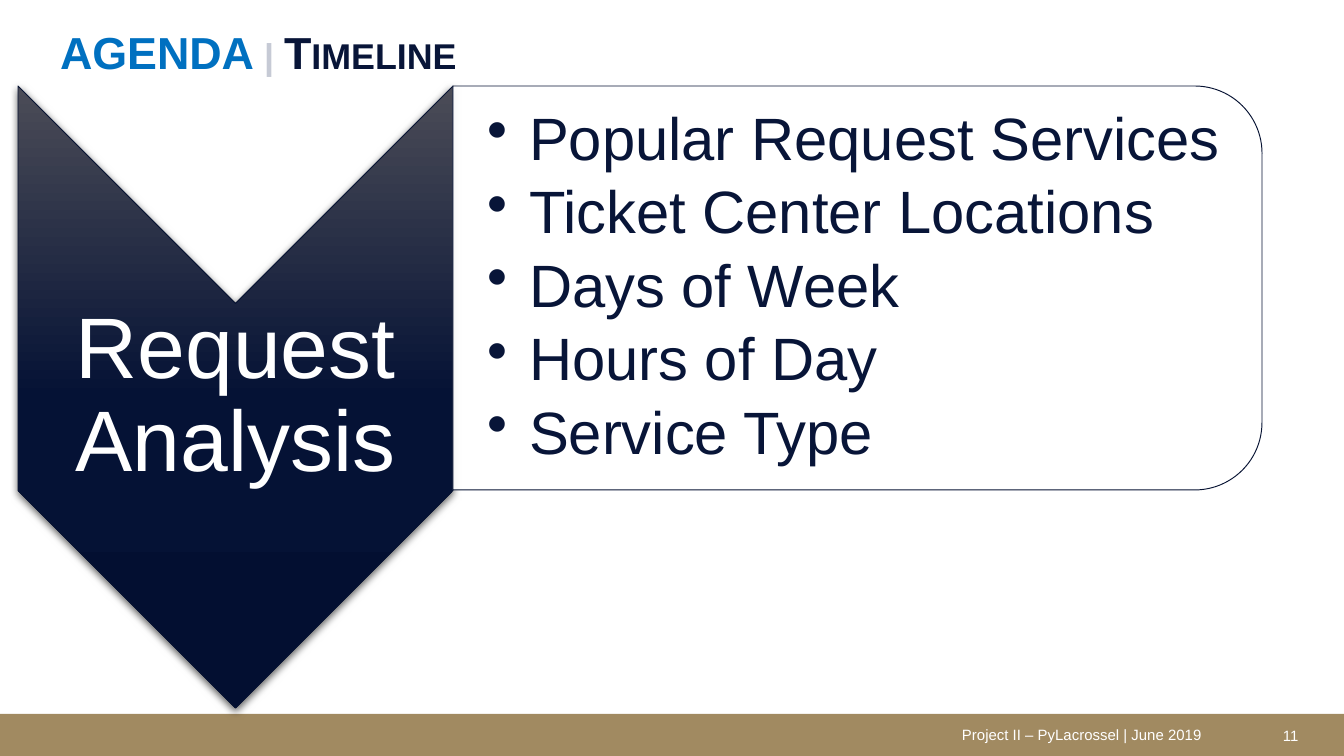
from lxml import etree
from pptx import Presentation
from pptx import util as u
from pptx.dml.color import RGBColor
from pptx.enum import shapes, text
from pptx.oxml import parse_xml
from pptx.oxml.ns import qn

# Content
TITLE = [("AGENDA ", "blue"), ("| ", "pale"), ("Timeline", "navy")]
STEP = "Request Analysis"
TOPICS = ["Popular Request Services", "Ticket Center Locations", "Days of Week",
          "Hours of Day", "Service Type"]
FOOTER = [("Project II – PyLacrossel | June 2019", 949, 719, 312),
          ("11", 1270, 720, 74)]

# Style
NAVY = RGBColor(0x08, 0x15, 0x38)
OUTLINE = RGBColor(0x07, 0x13, 0x33)
WHITE = RGBColor(0xFF, 0xFF, 0xFF)
GOLD = RGBColor(0xA1, 0x8A, 0x61)
COLORS = {"blue": RGBColor(0x00, 0x70, 0xC0), "pale": RGBColor(0xC6, 0xCA, 0xD5),
          "navy": NAVY}
GRADIENT = [(0, "4B4C57"), (50, "051235"), (100, "030F31")]
FONT = "Arial"
NS = 'xmlns:a="http://schemas.openxmlformats.org/drawingml/2006/main"'


def px(n):
    return u.Emu(round(n * 914400 / 134.4))


prs = Presentation()
prs.slide_width, prs.slide_height = px(1344), px(756)
s = prs.slides.add_slide(prs.slide_layouts[6])


def add_shape(kind, x, y, w, h, fill, turned=False):
    """Place a shape in its visible box; a turned one is rotated 90 degrees."""
    if turned:
        x, y, w, h = x + (w - h) / 2, y + (h - w) / 2, h, w
    sp = s.shapes.add_shape(kind, px(x), px(y), px(w), px(h))
    sp.rotation = 90 if turned else 0
    sp.shadow.inherit = False
    sp.fill.solid()
    sp.fill.fore_color.rgb = fill
    if turned:
        sp.line.color.rgb = OUTLINE
        sp.line.width = u.Pt(0.5)
    else:
        sp.line.fill.background()
    return sp


def add_text(x, y, w, h, insets=(13, 7, 13, 7), anchor=text.MSO_ANCHOR.MIDDLE):
    tf = s.shapes.add_textbox(px(x), px(y), px(w), px(h)).text_frame
    tf.word_wrap = True
    tf.vertical_anchor = anchor
    tf.margin_left, tf.margin_top, tf.margin_right, tf.margin_bottom = map(px, insets)
    return tf


def style(r, size, color, bold=False):
    r.font.name, r.font.size, r.font.bold = FONT, u.Pt(size), bold
    r.font.color.rgb = color


# Footer
add_shape(shapes.MSO_SHAPE.RECTANGLE, 0, 714, 1344, 42, GOLD)
for words, x, y, w in FOOTER:
    tf = add_text(x, y, w, 32, anchor=text.MSO_ANCHOR.TOP)
    tf.text = words
    style(tf.paragraphs[0].runs[0], 8, WHITE)

# Title in small capitals
p = add_text(47, 16, 780, 71).paragraphs[0]
for words, color in TITLE:
    r = p.add_run()
    r.text = words
    style(r, 24, COLORS[color], bold=True)
    r.font._element.set("cap", "small")

# Chevron with gradient and shadow
sp = add_shape(shapes.MSO_SHAPE.CHEVRON, 18, 86, 435, 622, NAVY, turned=True)
stops = "".join(f'<a:gs pos="{pos * 1000}"><a:srgbClr val="{c}"/></a:gs>'
                for pos, c in GRADIENT)
spPr = sp._element.spPr
spPr.replace(spPr.find(qn("a:solidFill")), parse_xml(
    f'<a:gradFill {NS} rotWithShape="0"><a:gsLst>{stops}</a:gsLst>'
    '<a:lin ang="5400000" scaled="0"/></a:gradFill>'))
spPr.find(qn("a:effectLst")).append(parse_xml(
    f'<a:outerShdw {NS} blurRad="{u.Pt(4.5)}" dist="{u.Pt(1.5)}" dir="5400000" '
    'rotWithShape="0"><a:srgbClr val="000000"><a:alpha val="63000"/></a:srgbClr>'
    '</a:outerShdw>'))
tf = add_text(18, 304, 435, 187, (4, 4, 4, 4))
tf.text = STEP
p = tf.paragraphs[0]
p.alignment = text.PP_ALIGN.CENTER
p.line_spacing = 0.9
style(p.runs[0], 46, WHITE)

# Topic panel
sp = add_shape(shapes.MSO_SHAPE.ROUND_2_SAME_RECTANGLE, 453, 86, 809, 404, WHITE,
               turned=True)
fill = sp._element.spPr.find(qn("a:solidFill"))
etree.SubElement(fill[0], qn("a:alpha")).set("val", "90000")

# Topic list
tf = add_text(453, 106, 789, 364, (34, 3, 3, 3))
tf.text = "\n".join(TOPICS)
for p in tf.paragraphs:
    p.line_spacing = 0.9
    p.space_after = u.Pt(4.8)
    style(p.runs[0], 32, NAVY)
    pPr = p._p.get_or_add_pPr()
    pPr.set("marL", str(px(42)))
    pPr.set("indent", str(px(-42)))
    etree.SubElement(pPr, qn("a:buChar")).set("char", "•")

prs.save("out.pptx")
